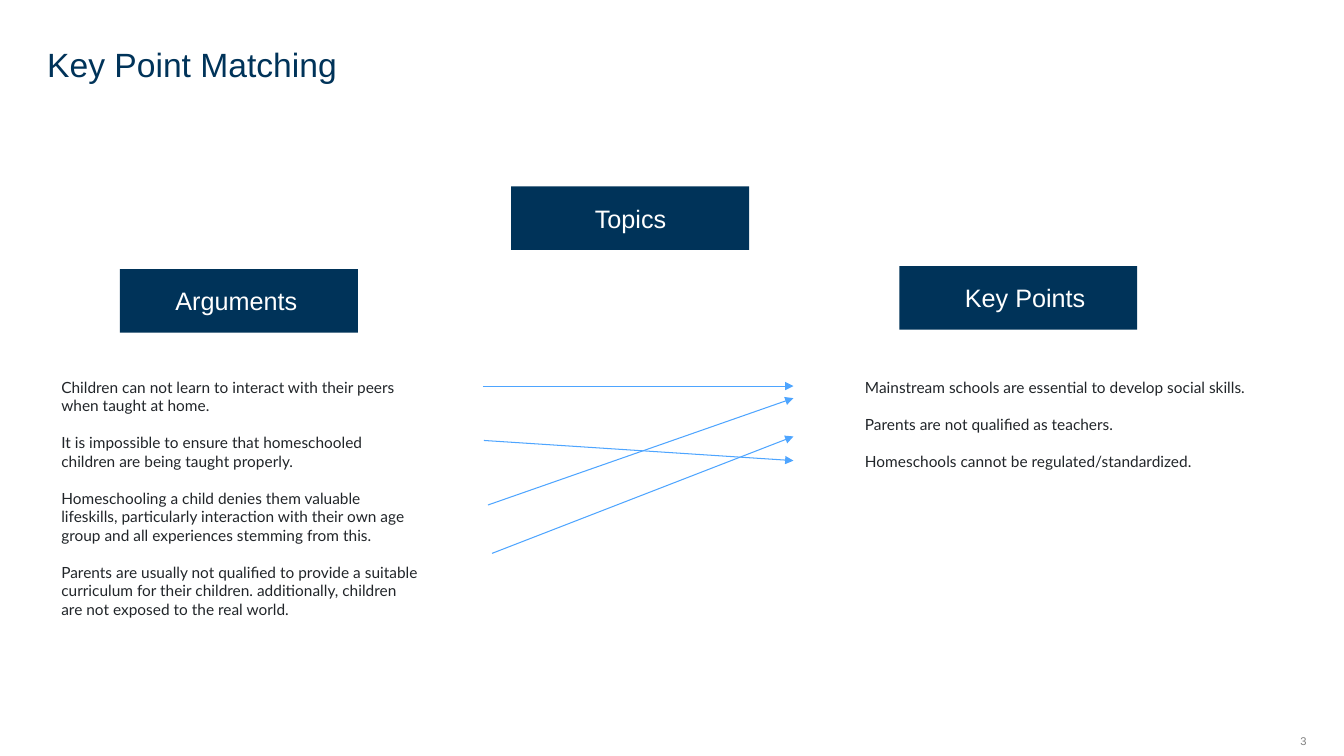
import pptx
import pptx.dml.color
import pptx.enum.shapes
import pptx.enum.text
import pptx.oxml
import pptx.oxml.ns
import pptx.util
from pptx.util import Inches

ALIGN = pptx.enum.text.PP_ALIGN
ANCHOR = pptx.enum.text.MSO_ANCHOR

theme = {
    "navy": pptx.dml.color.RGBColor.from_string("003359"),
    "white": pptx.dml.color.RGBColor.from_string("FFFFFF"),
    "body": pptx.dml.color.RGBColor.from_string("212529"),
    "grey": pptx.dml.color.RGBColor.from_string("808080"),
    "arrow": pptx.dml.color.RGBColor.from_string("4EA5FF"),
    "heading_font": "Arial",
    "body_font": "Lato",
    "title_size": 24,
    "label_size": 18,
    "body_size": 11,
    "number_size": 8,
    "paragraph_gap": 13.2,
    "arrow_width": 0.75,
}


def write(holder, paragraphs, font, size, color, align=ALIGN.LEFT, **frame_format):
    """Fill a shape with paragraphs in one type style."""
    frame = holder.text_frame
    for name, value in {"word_wrap": True, **frame_format}.items():
        setattr(frame, name, value)
    for index, text in enumerate(paragraphs):
        paragraph = frame.paragraphs[0] if index == 0 else frame.add_paragraph()
        paragraph.text = text
        paragraph.alignment = align
        if index:
            paragraph.space_before = pptx.util.Pt(theme["paragraph_gap"])
        style = {"name": theme[font], "size": pptx.util.Pt(theme[size])}
        for name, value in style.items():
            setattr(paragraph.font, name, value)
        paragraph.font.color.rgb = theme[color]


presentation = pptx.Presentation()
presentation.slide_width = Inches(13.33)
presentation.slide_height = Inches(7.5)
slide = presentation.slides.add_slide(presentation.slide_layouts[6])

# Title and slide number
title = slide.shapes.add_textbox(Inches(0.37), Inches(0.05), Inches(11.58), Inches(0.79))
write(title, ["Key Point Matching"], "heading_font", "title_size", "navy",
      vertical_anchor=ANCHOR.BOTTOM, margin_top=0, margin_bottom=0)

slide_number = slide.shapes.add_textbox(Inches(12.6), Inches(7.19), Inches(0.36), Inches(0.32))
write(slide_number, ["3"], "heading_font", "number_size", "grey", ALIGN.RIGHT,
      vertical_anchor=ANCHOR.MIDDLE, margin_right=0, word_wrap=False)

# Column headings: text, left, top, text indent
headings = [
    ("Arguments", 1.19, 2.67, 0.55),
    ("Topics", 5.07, 1.85, 0.83),
    ("Key Points", 8.92, 2.64, 0.65),
]
for text, left, top, indent in headings:
    heading = slide.shapes.add_shape(
        pptx.enum.shapes.MSO_SHAPE.RECTANGLE,
        Inches(left), Inches(top), Inches(2.36), Inches(0.63))
    heading.shadow.inherit = False
    heading.fill.solid()
    heading.fill.fore_color.rgb = theme["navy"]
    heading.line.fill.background()
    write(heading, [text], "heading_font", "label_size", "white",
          vertical_anchor=ANCHOR.MIDDLE, margin_left=Inches(indent))

# Arguments and key points: left, width, height, paragraphs
columns = [
    (0.51, 3.76, 2.51, [
        "Children can not learn to interact with their peers when taught at home.",
        "It is impossible to ensure that homeschooled children are being taught properly.",
        "Homeschooling a child denies them valuable lifeskills, particularly interaction "
        "with their own age group and all experiences stemming from this.",
        "Parents are usually not qualified to provide a suitable curriculum for their "
        "children. additionally, children are not exposed to the real world.",
    ]),
    (8.48, 4.75, 1.4, [
        "Mainstream schools are essential to develop social skills.",
        "Parents are not qualified as teachers.",
        "Homeschools cannot be regulated/standardized.",
    ]),
]
for left, width, height, statements in columns:
    column = slide.shapes.add_textbox(Inches(left), Inches(3.7), Inches(width), Inches(height))
    write(column, statements, "body_font", "body_size", "body")

# Matches from argument to key point: start x, start y, end y
key_point_edge = 7.87
matches = [(4.79, 3.83, 3.83), (4.8, 4.37, 4.57), (4.84, 5.01, 3.95), (4.88, 5.49, 4.33)]
for start_x, start_y, end_y in matches:
    match = slide.shapes.add_connector(
        pptx.enum.shapes.MSO_CONNECTOR.STRAIGHT,
        Inches(start_x), Inches(start_y), Inches(key_point_edge), Inches(end_y))
    match.line.color.rgb = theme["arrow"]
    match.line.width = pptx.util.Pt(theme["arrow_width"])
    arrowhead = pptx.oxml.parse_xml(
        f'<a:tailEnd {pptx.oxml.ns.nsdecls("a")} type="triangle"/>')
    match.line._get_or_add_ln().append(arrowhead)
    no_shadow = pptx.oxml.parse_xml(f'<a:effectLst {pptx.oxml.ns.nsdecls("a")}/>')
    match._element.spPr.append(no_shadow)

presentation.save("out.pptx")
